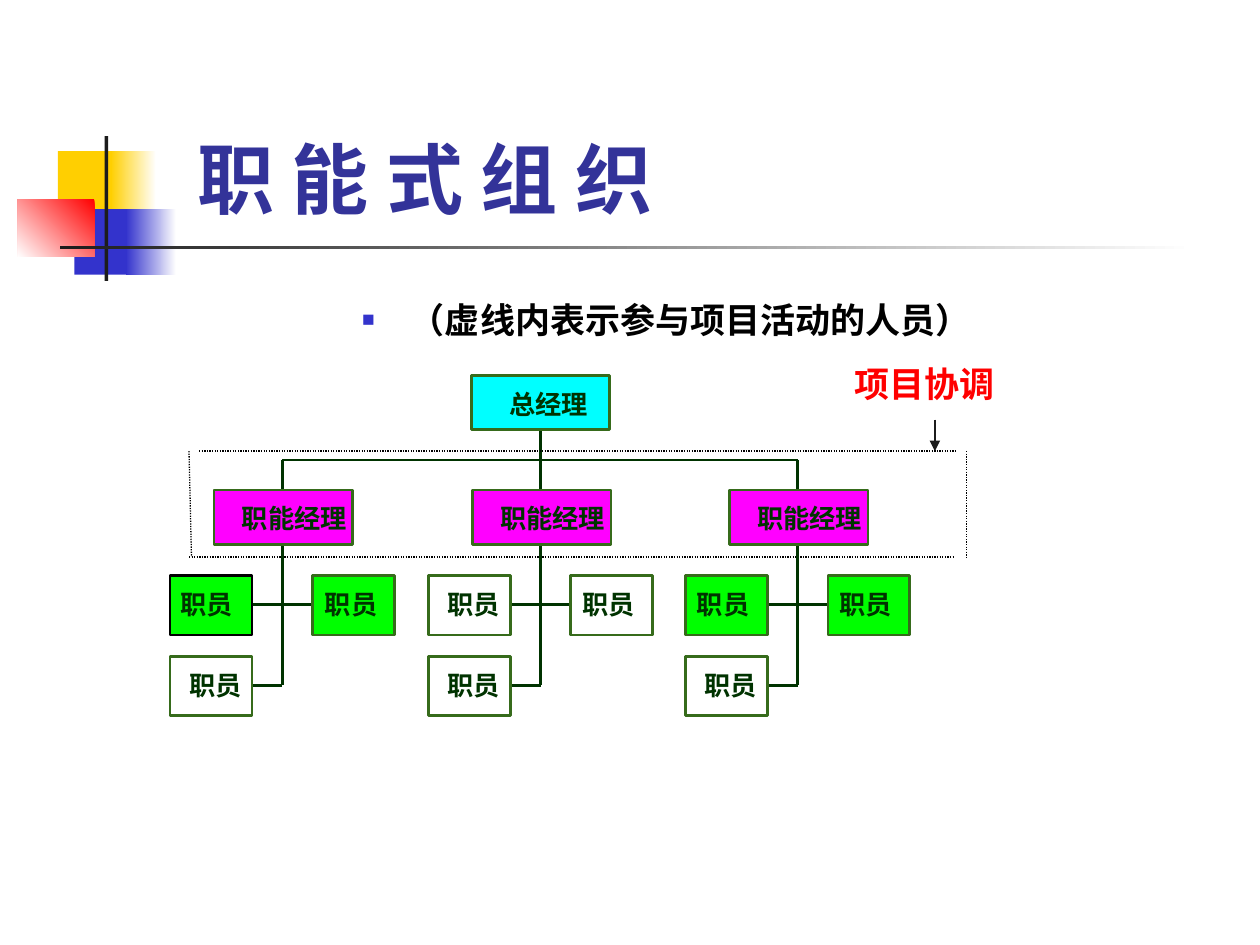
"""Build the slide on the functional organisation chart."""
from lxml import etree
from pptx import Presentation
from pptx.dml.color import RGBColor
from pptx.enum.dml import MSO_LINE
from pptx.enum.shapes import MSO_CONNECTOR, MSO_SHAPE
from pptx.enum.text import MSO_ANCHOR, PP_ALIGN
from pptx.oxml import parse_xml
from pptx.oxml.ns import nsdecls, qn
from pptx.util import Inches, Pt

CJK = "Noto Sans CJK SC"
GREEN, WHITE, PINK, CYAN = "00FF00", "FFFFFF", "FF00FF", "00FFFF"
BORDER, INK, BLACK = "366B1B", "003300", "000000"


def rgb(value):
    return RGBColor.from_string(value)


def add_span(para, text, size, color, font=CJK):
    span = para.add_run()
    span.text = text
    span.font.size = Pt(size)
    span.font.bold = True
    span.font.name = font
    span.font.color.rgb = rgb(color)
    etree.SubElement(span.font._element, qn("a:ea"), typeface=CJK)


deck = Presentation()
deck.slide_width, deck.slide_height = Inches(10), Inches(7.5)
page = deck.slides.add_slide(deck.slide_layouts[6])

ornaments = [
    (0.46, 1.2, 0.48, 0.52, ["FFCF01"], 0),
    (0.88, 1.2, 0.36, 0.52, [WHITE, "FFCF01"], 180),
    (0.59, 1.66, 0.46, 0.52, ["3333CC"], 0),
    (1, 1.66, 0.4, 0.52, [WHITE, "3333CC"], 180),
    (0.14, 1.58, 0.61, 0.46, ["FF0000", WHITE], 225),
    (0.83, 1.08, 0.03, 1.15, ["1C1C1C"], 0),
    (0.48, 1.95, 9, 0.03, [WHITE, "1C1C1C"], 180),
]
for left, top, width, height, colors, angle in ornaments:
    block = page.shapes.add_shape(
        MSO_SHAPE.RECTANGLE, Inches(left), Inches(top), Inches(width), Inches(height))
    block.shadow.inherit = False
    block.line.fill.background()
    if len(colors) == 1:
        block.fill.solid()
        block.fill.fore_color.rgb = rgb(colors[0])
    else:
        block.fill.gradient()
        block.fill.gradient_angle = angle
        for stop, color, position in zip(block.fill.gradient_stops, colors, (0, 1)):
            stop.color.rgb = rgb(color)
            stop.position = position

centers = [2.24, 4.29, 6.33]
lines = [
    (4.29, 3.4, 4.29, 3.65, INK, 1.5),
    (centers[0], 3.65, centers[-1], 3.65, INK, 1.5),
    (7.42, 3.33, 7.42, 3.58, "1C1C1C", 0.75),
    (1.58, 3.58, 7.58, 3.58, BLACK, 0.75),
    (7.67, 3.58, 7.67, 4.42, BLACK, 0.75),
    (1.5, 3.58, 1.52, 4.42, BLACK, 0.75),
    (1.5, 4.42, 7.58, 4.42, BLACK, 0.75),
]
for center in centers:
    lines += [
        (center, 3.65, center, 3.89, INK, 1.5),
        (center, 4.32, center, 5.44, INK, 1.5),
        (center - 0.25, 4.8, center + 0.24, 4.8, INK, 1.5),
        (center - 0.25, 5.44, center, 5.44, INK, 1.5),
    ]
for x1, y1, x2, y2, color, weight in lines:
    link = page.shapes.add_connector(
        MSO_CONNECTOR.STRAIGHT, Inches(x1), Inches(y1), Inches(x2), Inches(y2))
    link.line.color.rgb = rgb(color)
    link.line.width = Pt(weight)
    if color == BLACK:
        link.line.dash_style = MSO_LINE.ROUND_DOT
    if color == "1C1C1C":
        etree.SubElement(link.line._get_or_add_ln(), qn("a:tailEnd"), type="triangle")
    etree.SubElement(link._element.spPr, qn("a:effectLst"))

nodes = [(3.74, 2.98, 1.1, 0.43, "总经理", CYAN, BORDER, 0.3)]
staff = [
    (GREEN, BLACK, 0.08, GREEN, 0.1),
    (WHITE, BORDER, 0.15, WHITE, 0.09),
    (GREEN, BORDER, 0.09, GREEN, 0.09),
]
for center, (left_fill, left_line, left_pad, right_fill, right_pad) in zip(centers, staff):
    nodes += [
        (center - 0.54, 3.89, 1.1, 0.43, "职能经理", PINK, BORDER, 0.22),
        (center - 0.89, 4.57, 0.65, 0.47, "职员", left_fill, left_line, left_pad),
        (center + 0.24, 4.57, 0.65, 0.47, "职员", right_fill, BORDER, right_pad),
        (center - 0.89, 5.21, 0.65, 0.47, "职员", WHITE, BORDER, 0.15),
    ]
for left, top, width, height, label, fill, line, pad in nodes:
    node = page.shapes.add_shape(
        MSO_SHAPE.RECTANGLE, Inches(left), Inches(top), Inches(width), Inches(height))
    node.shadow.inherit = False
    node.fill.solid()
    node.fill.fore_color.rgb = rgb(fill)
    node.line.color.rgb = rgb(line)
    node.line.width = Pt(1.5)
    frame = node.text_frame
    frame.margin_left, frame.margin_top = Inches(pad), Inches(0.1)
    frame.margin_right = frame.margin_bottom = 0
    frame.vertical_anchor = MSO_ANCHOR.TOP
    para = frame.paragraphs[0]
    para.alignment = PP_ALIGN.LEFT
    add_span(para, label, 15, INK)

captions = [
    (1.33, 1, 6.75, 0.83, " 职 能 式 组 织", 44, "333399", CJK, PP_ALIGN.LEFT, MSO_ANCHOR.BOTTOM),
    (6.42, 2.83, 1.83, 0.44, "项目协调", 20, "FF0000", "Montserrat", PP_ALIGN.CENTER, MSO_ANCHOR.TOP),
    (1.25, 2.32, 8.08, 0.5, "（虚线内表示参与项目活动的人员）", 20, BLACK, "Roboto",
     PP_ALIGN.CENTER, MSO_ANCHOR.TOP),
]
for left, top, width, height, text, size, color, font, align, anchor in captions:
    box = page.shapes.add_textbox(Inches(left), Inches(top), Inches(width), Inches(height))
    box.text_frame.word_wrap = True
    box.text_frame.vertical_anchor = anchor
    para = box.text_frame.paragraphs[0]
    para.alignment = align
    add_span(para, text, size, color, font)

props = para._p.get_or_add_pPr()
props.set("marL", str(Inches(0.38)))
props.set("indent", str(Inches(-0.38)))
for bullet in (
    '<a:buClr {}><a:srgbClr val="3333CC"/></a:buClr>',
    '<a:buSzPct {} val="60000"/>',
    '<a:buFont {} typeface="Arial"/>',
    '<a:buChar {} char="■"/>',
):
    props.append(parse_xml(bullet.format(nsdecls("a"))))

deck.save("out.pptx")
